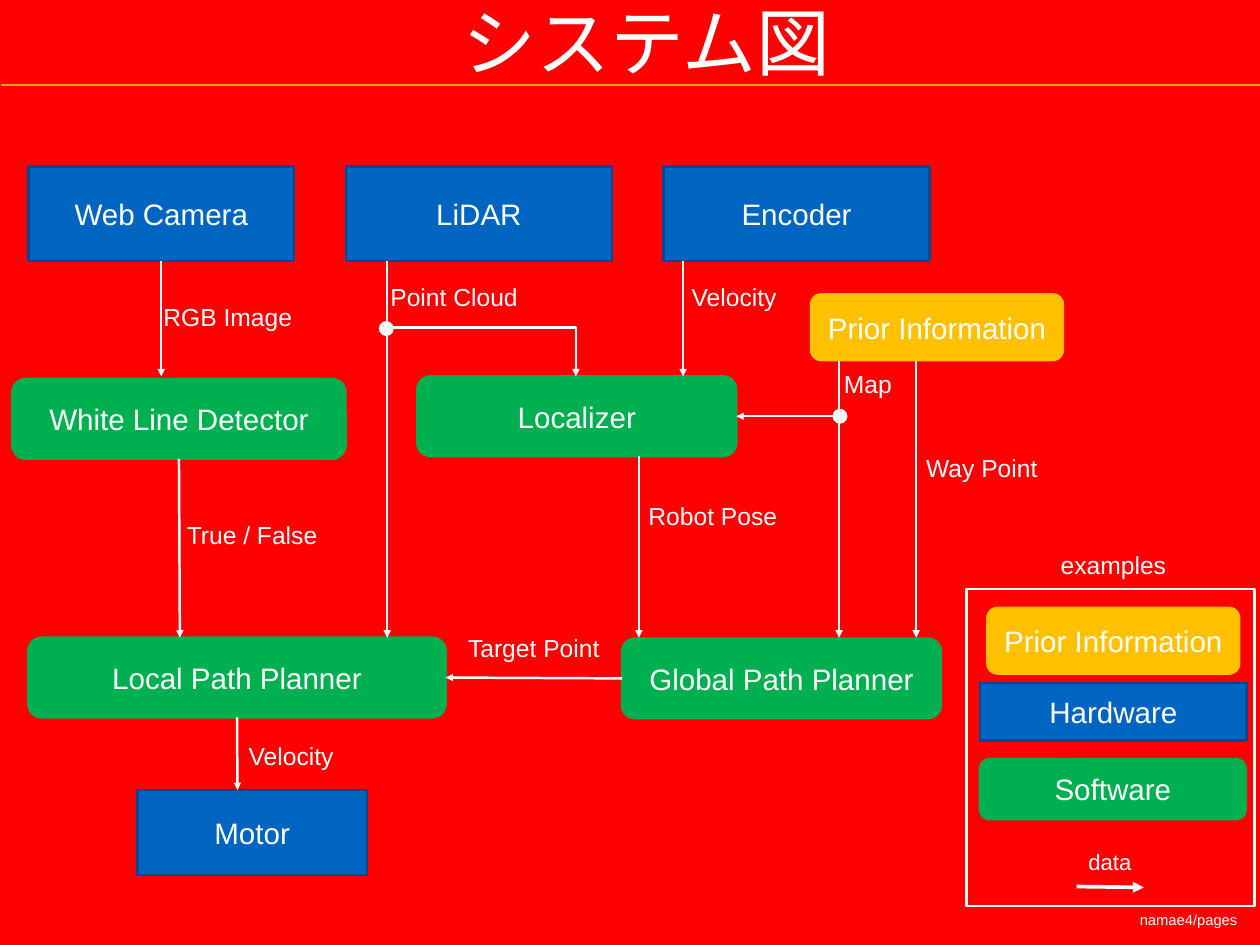
from dataclasses import dataclass
from typing import Optional, Tuple

from lxml import etree
from pptx import Presentation, util as u
from pptx.dml import color
from pptx.enum import shapes, text
from pptx.oxml import ns

Point = Tuple[float, float]
Joint = Tuple[str, int]  # node name, connection site
TOP, LEFT, BOTTOM, RIGHT = range(4)


# Theme
@dataclass(frozen=True)
class Theme:
    background: str = "FF0000"
    ink: str = "FFFFFF"
    rule: str = "FF9300"
    title_font: str = "Noto Sans CJK JP"
    body_font: str = "Arial"
    title_size: int = 60
    node_size: int = 24
    label_size: int = 20
    data_size: int = 18
    footer_size: int = 12
    line_width: int = 2
    data_width: int = 3


THEME = Theme()


@dataclass(frozen=True)
class Kind:
    outline: shapes.MSO_SHAPE
    fill: Optional[str]
    line: Optional[str]


HARDWARE = Kind(shapes.MSO_SHAPE.RECTANGLE, "0065C1", "004B8F")
SOFTWARE = Kind(shapes.MSO_SHAPE.ROUNDED_RECTANGLE, "00B050", "00B050")
PRIOR = Kind(shapes.MSO_SHAPE.ROUNDED_RECTANGLE, "FFC000", None)
FRAME = Kind(shapes.MSO_SHAPE.RECTANGLE, None, THEME.ink)
JUNCTION = Kind(shapes.MSO_SHAPE.OVAL, THEME.ink, THEME.ink)


@dataclass(frozen=True)
class Node:
    name: str
    kind: Kind
    left: float
    top: float
    width: float
    height: float


@dataclass(frozen=True)
class Flow:
    begin: Point
    end: Point
    source: Optional[Joint] = None
    target: Optional[Joint] = None
    bent: bool = False
    arrow: bool = True
    ink: str = THEME.ink
    weight: int = THEME.line_width


@dataclass(frozen=True)
class Label:
    words: str
    left: float
    top: float
    width: float
    height: float = 0.44
    size: int = THEME.label_size


# Content
SENSORS = [Node(name, HARDWARE, 0.32 + 3.585 * i, 1.88, 3, 1.07)
           for i, name in enumerate(("Web Camera", "LiDAR", "Encoder"))]
NODES = SENSORS + [
    Node("White Line Detector", SOFTWARE, 0.14, 4.28, 3.76, 0.9),
    Node("Localizer", SOFTWARE, 4.71, 4.25, 3.6, 0.9),
    Node("Global Path Planner", SOFTWARE, 7.02, 7.21, 3.6, 0.9),
    Node("Local Path Planner", SOFTWARE, 0.32, 7.2, 4.71, 0.9),
    Node("Motor", HARDWARE, 1.55, 8.92, 2.59, 0.96),
    Node("Prior Information", PRIOR, 9.14, 3.31, 2.87, 0.77),
]
LEGEND = [
    Node("", FRAME, 10.91, 6.65, 3.25, 3.58),
    Node("Prior Information", PRIOR, 11.13, 6.85, 2.87, 0.77),
    Node("Hardware", HARDWARE, 11.06, 7.71, 3.01, 0.65),
    Node("Software", SOFTWARE, 11.06, 8.57, 3, 0.68),
]
JUNCTIONS = [Node("", JUNCTION, x - 0.07, y - 0.07, 0.14, 0.14)
             for x, y in ((4.36, 3.71), (9.48, 4.7))]
FLOWS = [
    Flow((0.01, 0.96), (14.22, 0.96), arrow=False, ink=THEME.rule),
    Flow((1.82, 2.95), (1.82, 4.25), source=("Web Camera", BOTTOM)),
    Flow((4.37, 2.95), (4.37, 7.2)),
    Flow((4.37, 3.7), (6.5, 4.25), bent=True),
    Flow((7.71, 2.95), (7.71, 4.25)),
    Flow((2.03, 5.18), (2.03, 7.2), source=("White Line Detector", BOTTOM)),
    Flow((7.21, 5.15), (7.21, 7.2)),
    Flow((9.47, 4.08), (9.47, 7.2)),
    Flow((10.34, 4.08), (10.34, 7.2)),
    Flow((9.47, 4.7), (8.31, 4.7), target=("Localizer", RIGHT)),
    Flow((7.02, 7.66), (5.03, 7.65), source=("Global Path Planner", LEFT),
         target=("Local Path Planner", RIGHT)),
    Flow((2.68, 8.1), (2.68, 8.92), source=("Local Path Planner", BOTTOM)),
    Flow((12.15, 10.01), (12.91, 10.02), weight=THEME.data_width),
]
LABELS = [
    Label("RGB Image", 0.57, 3.36, 4),
    Label("Point Cloud", 4.3, 3.13, 1.65),
    Label("Velocity", 7.69, 3.13, 1.19),
    Label("Map", 9.42, 4.11, 0.75),
    Label("Way Point", 10.34, 5.06, 1.48),
    Label("Robot Pose", 7.21, 5.6, 1.67),
    Label("True / False", 1.17, 5.82, 3.35),
    Label("Target Point", 5.16, 7.09, 1.73),
    Label("Velocity", 2.69, 8.31, 1.19),
    Label("examples", 11.84, 6.16, 1.45),
    Label("data", 12.18, 9.53, 0.69, 0.4, THEME.data_size),
    Label("namae4/pages", 12.75, 10.23, 1.33, 0.31, THEME.footer_size),
]


# Drawing
def rgb(code: str) -> color.RGBColor:
    return color.RGBColor.from_string(code)


def write(frame, words: str, size: int, font: str = THEME.body_font):
    frame.vertical_anchor = text.MSO_ANCHOR.MIDDLE
    paragraph = frame.paragraphs[0]
    paragraph.alignment = text.PP_ALIGN.CENTER
    run = paragraph.add_run()
    run.text = words
    run.font.size = u.Pt(size)
    run.font.name = font
    run.font.color.rgb = rgb(THEME.ink)
    return run


def draw_title(slide, words: str) -> None:
    title = slide.shapes.title
    title.left, title.top = u.Inches(2.48), u.Inches(-0.09)
    title.width, title.height = u.Inches(9.63), u.Inches(1.11)
    frame = title.text_frame
    frame.margin_left = frame.margin_right = u.Inches(0.06)
    frame.margin_top = frame.margin_bottom = u.Inches(0.06)
    props = write(frame, words, THEME.title_size, THEME.title_font).font._element
    props.find(ns.qn("a:latin")).addnext(
        props.makeelement(ns.qn("a:ea"), {"typeface": THEME.title_font}))
    # Soft shadow behind the letters
    effects = props.makeelement(ns.qn("a:effectLst"), {})
    shadow = etree.SubElement(effects, ns.qn("a:outerShdw"),
                              blurRad="38100", dist="38100", dir="2700000")
    etree.SubElement(shadow, ns.qn("a:srgbClr"), val="000000")
    props.find(ns.qn("a:solidFill")).addnext(effects)


def draw_node(slide, node: Node):
    box = slide.shapes.add_shape(
        node.kind.outline, u.Inches(node.left), u.Inches(node.top),
        u.Inches(node.width), u.Inches(node.height))
    box.shadow.inherit = False
    if node.kind.fill:
        box.fill.solid()
        box.fill.fore_color.rgb = rgb(node.kind.fill)
    else:
        box.fill.background()
    if node.kind.line:
        box.line.color.rgb = rgb(node.kind.line)
        box.line.width = u.Pt(THEME.line_width)
    else:
        box.line.fill.background()
    if node.name:
        write(box.text_frame, node.name, THEME.node_size)
    return box


def draw_flow(slide, flow: Flow, boxes: dict) -> None:
    style = shapes.MSO_CONNECTOR.ELBOW if flow.bent else shapes.MSO_CONNECTOR.STRAIGHT
    link = slide.shapes.add_connector(
        style, *(u.Inches(value) for value in flow.begin + flow.end))
    link.line.color.rgb = rgb(flow.ink)
    link.line.width = u.Pt(flow.weight)
    props = link._element.spPr
    if flow.bent:
        props.find(ns.qn("a:prstGeom")).set("prst", "bentConnector2")
    if flow.arrow:
        etree.SubElement(props.find(ns.qn("a:ln")), ns.qn("a:tailEnd"), type="triangle")
    etree.SubElement(props, ns.qn("a:effectLst"))
    if flow.source:
        link.begin_connect(boxes[flow.source[0]], flow.source[1])
    if flow.target:
        link.end_connect(boxes[flow.target[0]], flow.target[1])


def draw_label(slide, label: Label) -> None:
    box = slide.shapes.add_textbox(u.Inches(label.left), u.Inches(label.top),
                                   u.Inches(label.width), u.Inches(label.height))
    box.text_frame.word_wrap = False
    write(box.text_frame, label.words, label.size)


def main() -> None:
    deck = Presentation()
    deck.slide_width, deck.slide_height = u.Inches(14.22), u.Inches(10.67)
    slide = deck.slides.add_slide(deck.slide_layouts[5])
    slide.background.fill.solid()
    slide.background.fill.fore_color.rgb = rgb(THEME.background)
    draw_title(slide, "システム図")
    boxes = {node.name: draw_node(slide, node) for node in NODES}
    for part in LEGEND + JUNCTIONS:
        draw_node(slide, part)
    for flow in FLOWS:
        draw_flow(slide, flow, boxes)
    for label in LABELS:
        draw_label(slide, label)
    deck.save("out.pptx")


if __name__ == "__main__":
    main()
